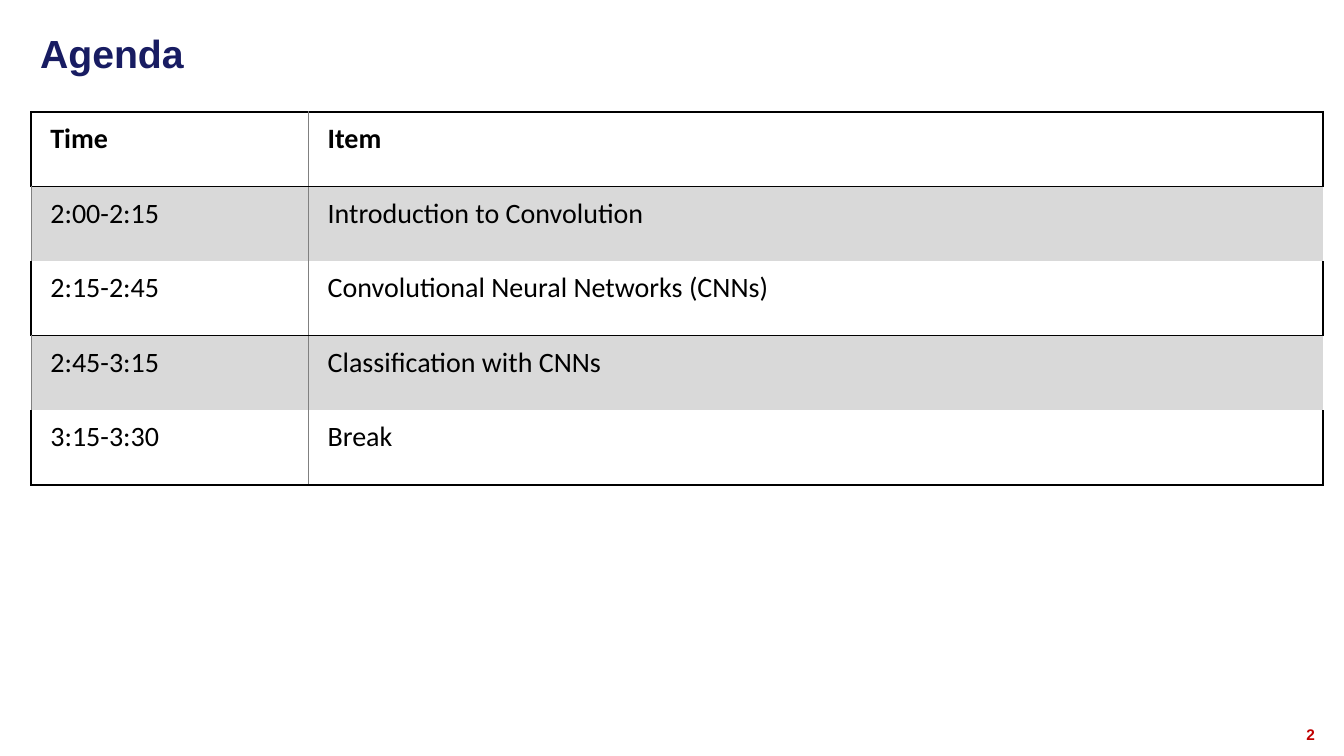
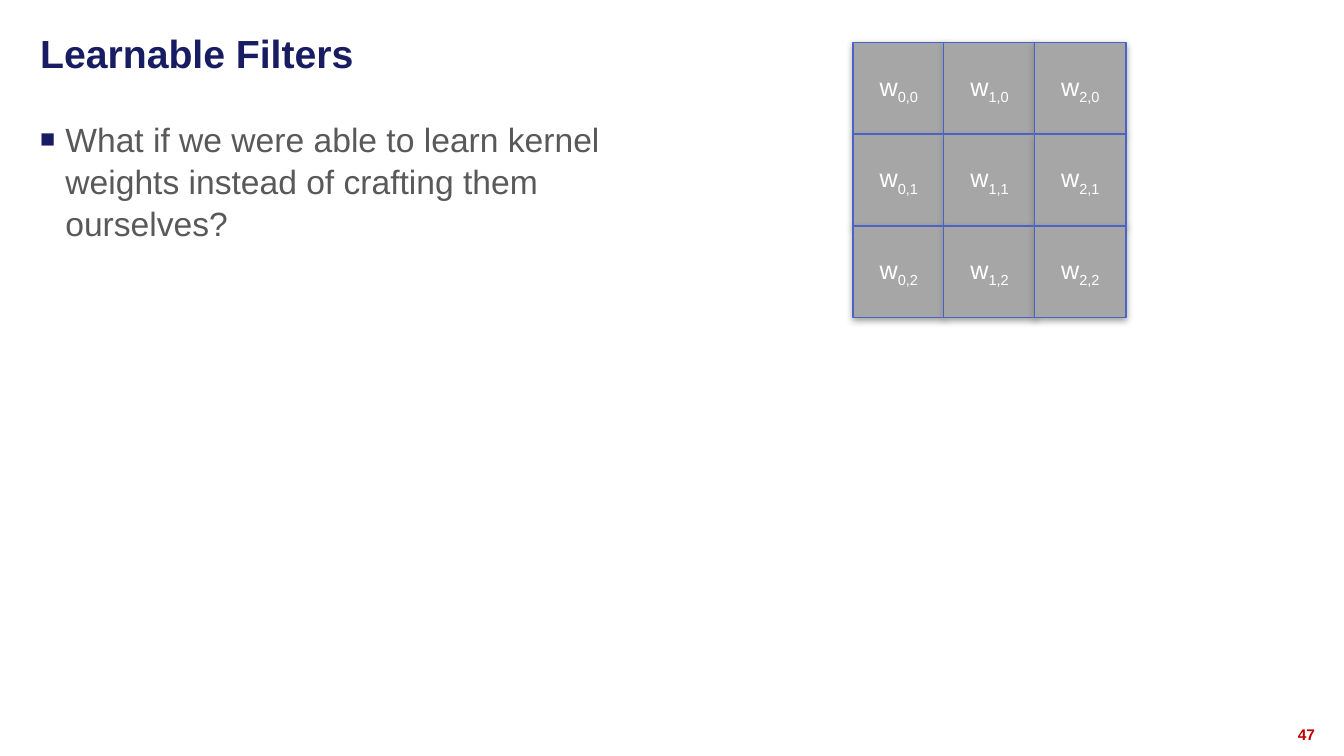
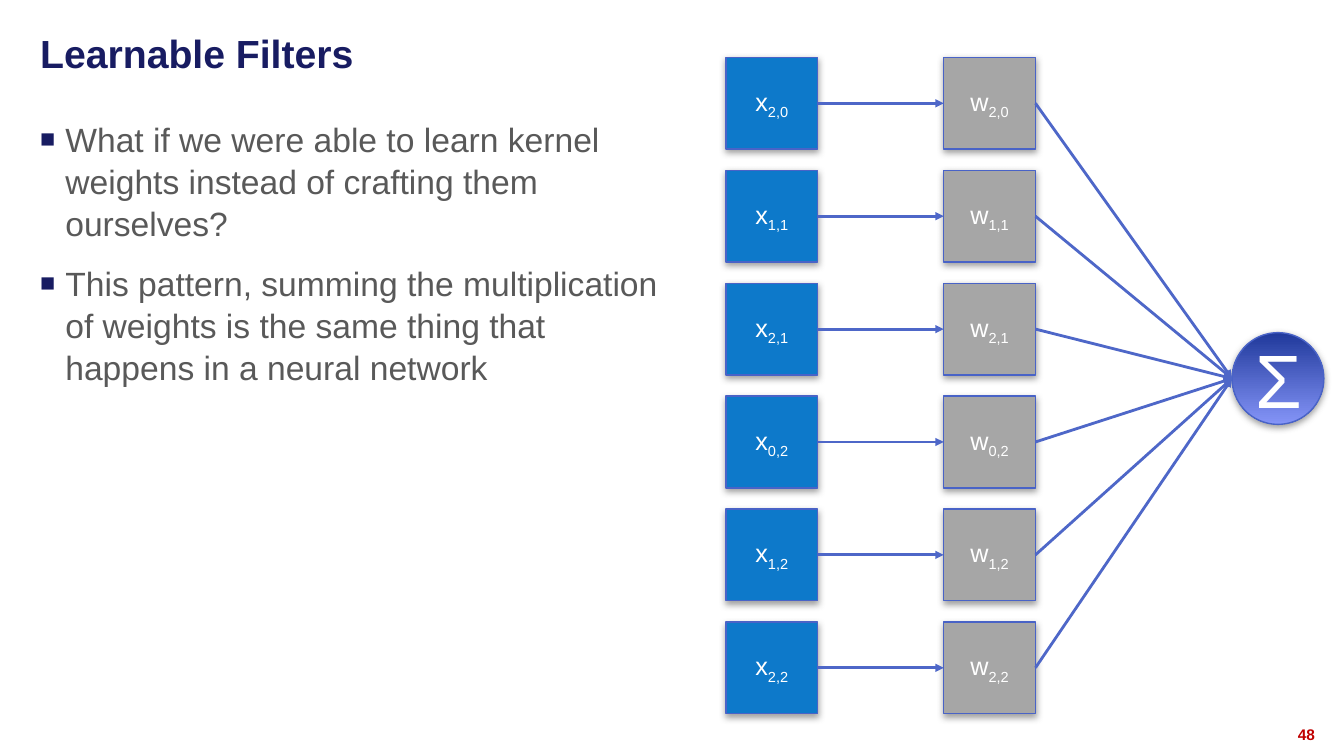
from dataclasses import dataclass
from itertools import product

from lxml.etree import SubElement
from pptx import Presentation
from pptx.dml.color import RGBColor
from pptx.enum.shapes import MSO_CONNECTOR, MSO_SHAPE
from pptx.enum.text import MSO_ANCHOR, PP_ALIGN
from pptx.oxml.ns import qn
from pptx.shapes.autoshape import Shape
from pptx.slide import Slide
from pptx.table import _Cell
from pptx.text.text import Font, TextFrame
from pptx.util import Inches, Pt

NAVY, RED, TEXT = "181C62", "C00000", "595959"
BLACK, WHITE, RULE, BAND = "000000", "FFFFFF", "808080", "D9D9D9"
GRAY, BLUE, EDGE, ARROW = "A6A6A6", "0D79CA", "4963C7", "4E67C8"
SIDE = 0.91

AGENDA = [
    ("Time", "Item"),
    ("2:00-2:15", "Introduction to Convolution"),
    ("2:15-2:45", "Convolutional Neural Networks (CNNs)"),
    ("2:45-3:15", "Classification with CNNs"),
    ("3:15-3:30", "Break"),
]
LEARN = "What if we were able to learn kernel weights instead of crafting them ourselves?"
SUMS = ("This pattern, summing the multiplication of weights is the same thing "
        "that happens in a neural network")
TAPS = ["2,0", "1,1", "2,1", "0,2", "1,2", "2,2"]


@dataclass
class Node:
    name: str
    index: str
    left: float
    top: float
    fill: str


def color(code: str) -> RGBColor:
    return RGBColor.from_string(code)


def style(font: Font, size: float, code: str, bold: bool = False, name: str = "Arial") -> None:
    font.size, font.bold, font.name = Pt(size), bold, name
    font.color.rgb = color(code)


def add_text(slide: Slide, left: float, top: float, width: float, height: float) -> TextFrame:
    box = slide.shapes.add_textbox(Inches(left), Inches(top), Inches(width), Inches(height))
    box.text_frame.word_wrap = True
    return box.text_frame


def add_slide(deck: Presentation, title: str, number: int) -> Slide:
    slide = deck.slides.add_slide(deck.slide_layouts[6])
    foot = add_text(slide, 12.44, 7.14, 0.7, 0.29).paragraphs[0]
    foot.text, foot.alignment = str(number), PP_ALIGN.RIGHT
    style(foot.font, 11, RED, True)
    frame = add_text(slide, 0.3, 0.2, 12.83, 0.8)
    frame.margin_top = Inches(0.09)
    head = frame.paragraphs[0]
    head.text = title
    style(head.font, 28, NAVY, True)
    return slide


def add_body(slide: Slide, items: list[str]) -> None:
    frame = add_text(slide, 0.3, 1.11, 6.38, 5.94)
    for i, item in enumerate(items):
        para = frame.add_paragraph() if i else frame.paragraphs[0]
        para.text = item
        para.line_spacing = 1.05
        if i:
            para.space_before = Pt(12)
        props = para._p.get_or_add_pPr()
        props.set("marL", str(Inches(0.25)))
        props.set("indent", str(-Inches(0.25)))
        tint = SubElement(props, qn("a:buClr"))
        SubElement(tint, qn("a:srgbClr"), val=NAVY)
        SubElement(props, qn("a:buSzPct"), val="75000")
        SubElement(props, qn("a:buFont"), typeface="Arial")
        SubElement(props, qn("a:buChar"), char="■")
        style(para.font, 24, TEXT)


def add_edge(cell: _Cell, side: str, code: str) -> None:
    width = Pt(1.5) if code == BLACK else Pt(0.5)
    line = SubElement(cell._tc.get_or_add_tcPr(), qn(f"a:ln{side}"), w=str(width))
    if code:
        fill = SubElement(line, qn("a:solidFill"))
        SubElement(fill, qn("a:srgbClr"), val=code)
    else:
        SubElement(line, qn("a:noFill"))


def add_agenda(slide: Slide) -> None:
    rows = len(AGENDA)
    table = slide.shapes.add_table(rows, 2, Inches(0.31), Inches(1.11),
                                   Inches(12.81), Inches(0.74 * rows)).table
    table.first_row = table.horz_banding = False
    for col, width in zip(table.columns, (2.75, 10.06)):
        col.width = Inches(width)
    for r, c in product(range(rows), range(2)):
        cell, shade = table.cell(r, c), r % 2 == 1
        cell.margin_left = Inches(0.19)
        cell.margin_top = cell.margin_right = cell.margin_bottom = Inches(0.14)
        outer = "" if shade else BLACK
        add_edge(cell, "L", RULE if c or shade else BLACK)
        add_edge(cell, "R", outer if c else RULE)
        add_edge(cell, "T", BLACK if shade or r == 0 else "")
        add_edge(cell, "B", outer)
        cell.fill.solid()
        cell.fill.fore_color.rgb = color(BAND if shade else WHITE)
        para = cell.text_frame.paragraphs[0]
        para.text, para.line_spacing = AGENDA[r][c], Pt(21.6)
        style(para.font, 20, BLACK, r == 0, "Calibri")


def add_shadow(shape: Shape) -> None:
    shape.shadow.inherit = False
    effect = shape._element.spPr.find(qn("a:effectLst"))
    outer = SubElement(effect, qn("a:outerShdw"), blurRad=str(Pt(5)), dist=str(Pt(2)),
                       dir="5400000", rotWithShape="0")
    tint = SubElement(outer, qn("a:srgbClr"), val=RULE)
    SubElement(tint, qn("a:alpha"), val="75000")


def add_shape(slide: Slide, kind: MSO_SHAPE, left: float, top: float,
              text: str, size: float) -> Shape:
    shape = slide.shapes.add_shape(kind, Inches(left), Inches(top), Inches(SIDE), Inches(SIDE))
    shape.line.color.rgb, shape.line.width = color(EDGE), Pt(1)
    add_shadow(shape)
    shape.text_frame.vertical_anchor = MSO_ANCHOR.MIDDLE
    para = shape.text_frame.paragraphs[0]
    para.text, para.alignment = text, PP_ALIGN.CENTER
    style(para.font, size, WHITE)
    return shape


def add_node(slide: Slide, node: Node) -> Shape:
    shape = add_shape(slide, MSO_SHAPE.RECTANGLE, node.left, node.top, node.name, 18)
    shape.fill.solid()
    shape.fill.fore_color.rgb = color(node.fill)
    run = shape.text_frame.paragraphs[0].add_run()
    run.text = node.index
    run.font._element.set("baseline", "-25000")
    return shape


def add_sum(slide: Slide) -> Shape:
    shape = add_shape(slide, MSO_SHAPE.OVAL, 12.22, 3.3, "Σ", 54)
    shape.fill.gradient()
    shape.fill.gradient_angle = 270
    for stop, place, code in zip(shape.fill.gradient_stops, (0, 1), ("20399B", "8494F7")):
        stop.position, stop.color.rgb = place, color(code)
    return shape


def add_arrow(slide: Slide, start: Shape, end: Shape, site: int) -> None:
    link = slide.shapes.add_connector(MSO_CONNECTOR.STRAIGHT, 0, 0, 0, 0)
    link.begin_connect(start, 3)
    link.end_connect(end, site)
    link.end_x, link.end_y = end.left, end.top + end.height // 2
    link.begin_x, link.begin_y = start.left + start.width, start.top + start.height // 2
    link.line.color.rgb, link.line.width = color(ARROW), Pt(2)
    SubElement(link.line._get_or_add_ln(), qn("a:tailEnd"), type="triangle")
    SubElement(link._element.spPr, qn("a:effectLst"))


def add_column(slide: Slide, name: str, left: float, fill: str) -> list[Shape]:
    return [add_node(slide, Node(name, tap, left, 0.57 + 1.12 * i, fill))
            for i, tap in enumerate(TAPS)]


def main() -> None:
    deck = Presentation()
    deck.slide_width, deck.slide_height = Inches(13.33), Inches(7.5)

    add_agenda(add_slide(deck, "Agenda", 2))

    kernel = add_slide(deck, "Learnable Filters", 47)
    add_body(kernel, [LEARN])
    for r, c in product(range(3), range(3)):
        add_node(kernel, Node("w", f"{c},{r}", 8.46 + 0.9 * c, 0.42 + 0.91 * r, GRAY))

    neuron = add_slide(deck, "Learnable Filters", 48)
    add_body(neuron, [LEARN, SUMS])
    weights = add_column(neuron, "w", 9.36, GRAY)
    inputs = add_column(neuron, "x", 7.2, BLUE)
    total = add_sum(neuron)
    for source, weight in zip(inputs, weights):
        add_arrow(neuron, source, weight, 1)
        add_arrow(neuron, weight, total, 2)

    deck.save("out.pptx")


if __name__ == "__main__":
    main()
